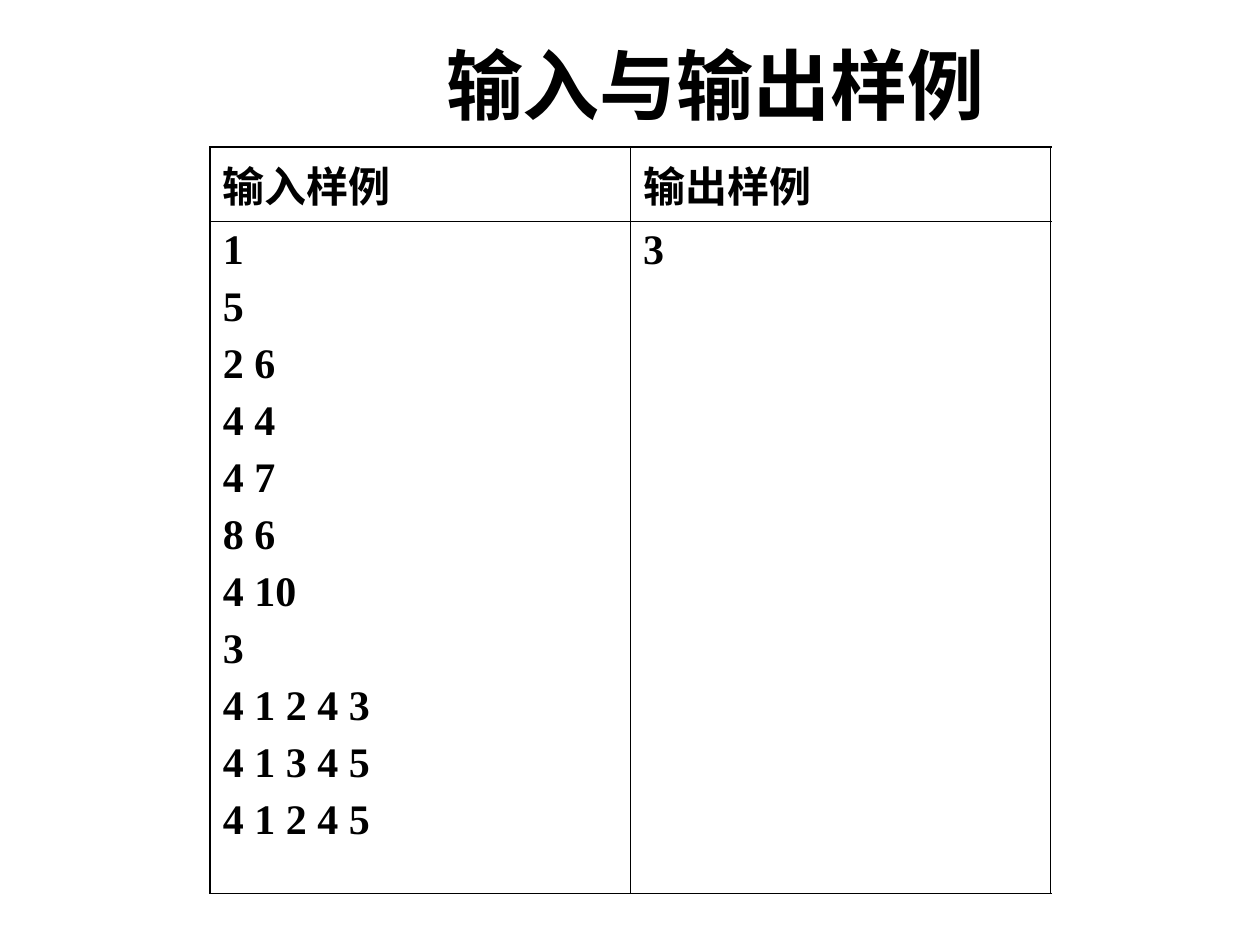
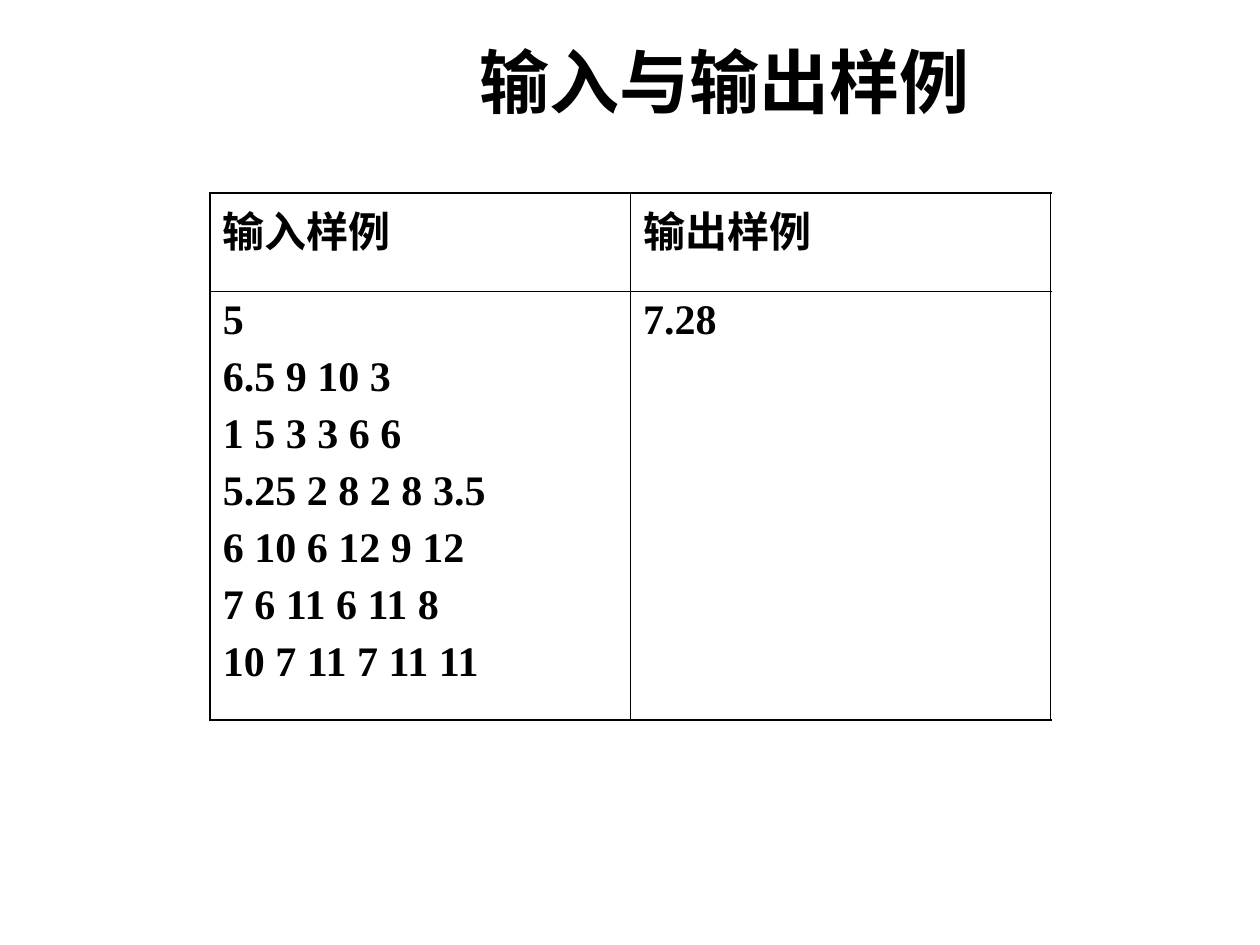
from lxml import etree
from pptx import Presentation
from pptx import util as u
from pptx.dml.color import RGBColor
from pptx.enum import text
from pptx.oxml.ns import qn

HEADERS = ("输入样例", "输出样例")
SLIDES = [
    {
        "title": "输入与输出样例 ", "size": 44, "title_height": 2.11,
        "top": 2.97, "rows": (1.48, 13.56), "align": text.PP_ALIGN.LEFT,
        "input": ["1", "5", "2 6", "4 4", "4 7", "8 6", "4 10", "3",
                  "4 1 2 4 3", "4 1 3 4 5", "4 1 2 4 5"],
        "output": ["3"],
    },
    {
        "title": "输入与输出样例", "size": 40, "title_height": 2.34,
        "top": 3.89, "rows": (1.98, 8.64), "align": text.PP_ALIGN.JUSTIFY,
        "input": ["5", "6.5 9 10 3", "1 5 3 3 6 6", "5.25 2 8 2 8 3.5",
                  "6 10 6 12 9 12", "7 6 11 6 11 8", "10 7 11 7 11 11"],
        "output": ["7.28"],
    },
]
COLORS = {"ink": "000000", "paper": "FFFFFF"}
LATIN, CJK = "Times New Roman", "Noto Sans CJK SC"
TABLE_LEFT, COLUMN_WIDTH = 4.24, 8.47
OUTER, INNER = 1.08, 0.45


def style_runs(p, size):
    for r in p.runs:
        r.font.name = LATIN
        r.font.size = u.Pt(size)
        r.font.bold = True
        r.font.color.rgb = RGBColor.from_string(COLORS["ink"])
        etree.SubElement(r.font._element, qn("a:ea"), typeface=CJK)


def add_title(s, sample):
    sp = s.shapes.title
    sp.left, sp.top = u.Cm(3.81), u.Cm(0.84)
    sp.width, sp.height = u.Cm(21.59), u.Cm(sample["title_height"])
    tf = sp.text_frame
    tf.text = sample["title"]
    tf.auto_size = text.MSO_AUTO_SIZE.NONE
    tf.vertical_anchor = text.MSO_ANCHOR.TOP
    p = tf.paragraphs[0]
    p.alignment = text.PP_ALIGN.CENTER
    p.line_spacing = 0.9
    style_runs(p, sample["size"])


def set_borders(cell, row, col):
    outer_sides = {"L": col == 0, "R": col == 1, "T": row == 0, "B": row == 1}
    tc_pr = cell._tc.get_or_add_tcPr()
    for side, outer in outer_sides.items():
        width = u.Pt(OUTER if outer else INNER)
        ln = etree.SubElement(tc_pr, qn("a:ln" + side), w=str(width))
        fill = etree.SubElement(ln, qn("a:solidFill"))
        etree.SubElement(fill, qn("a:srgbClr"), val=COLORS["ink"])


def fill_cell(cell, lines, align):
    tf = cell.text_frame
    tf.text = "\n".join(lines)
    for i, p in enumerate(tf.paragraphs):
        p.alignment = align
        if i:
            p.space_before = u.Pt(6)
        style_runs(p, 24)
    cell.fill.solid()
    cell.fill.fore_color.rgb = RGBColor.from_string(COLORS["paper"])


def add_sample_table(s, sample):
    left = text.PP_ALIGN.LEFT
    grid = [
        [([header], left) for header in HEADERS],
        [(sample["input"], sample["align"]), (sample["output"], left)],
    ]
    table = s.shapes.add_table(
        2, 2, u.Cm(TABLE_LEFT), u.Cm(sample["top"]),
        u.Cm(2 * COLUMN_WIDTH), u.Cm(sum(sample["rows"]))).table
    table.first_row = table.horz_banding = False
    for column in table.columns:
        column.width = u.Cm(COLUMN_WIDTH)
    for row, height in enumerate(sample["rows"]):
        table.rows[row].height = u.Cm(height)
        for col, (lines, align) in enumerate(grid[row]):
            cell = table.cell(row, col)
            set_borders(cell, row, col)
            fill_cell(cell, lines, align)


def main():
    prs = Presentation()
    prs.slide_width, prs.slide_height = u.Cm(25.4), u.Cm(19.05)
    for sample in SLIDES:
        s = prs.slides.add_slide(prs.slide_layouts[5])
        add_title(s, sample)
        add_sample_table(s, sample)
    prs.save("out.pptx")


if __name__ == "__main__":
    main()
